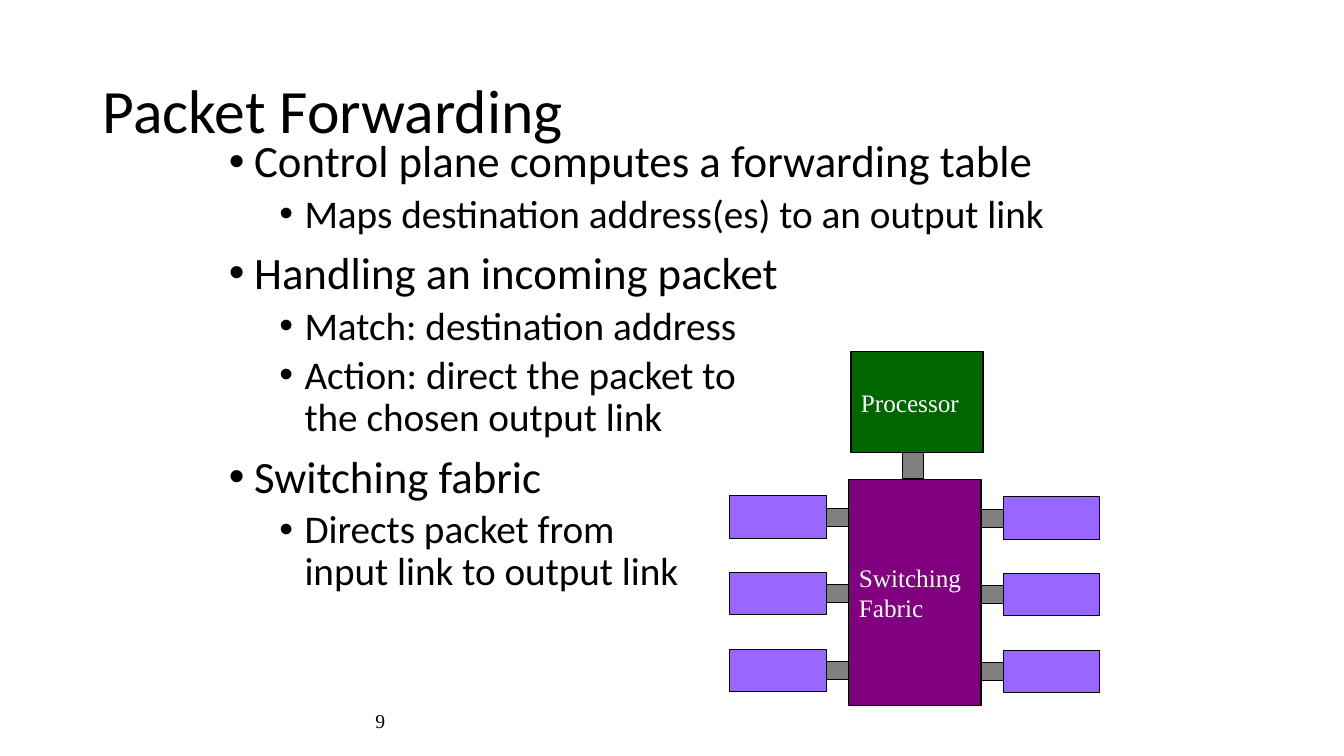
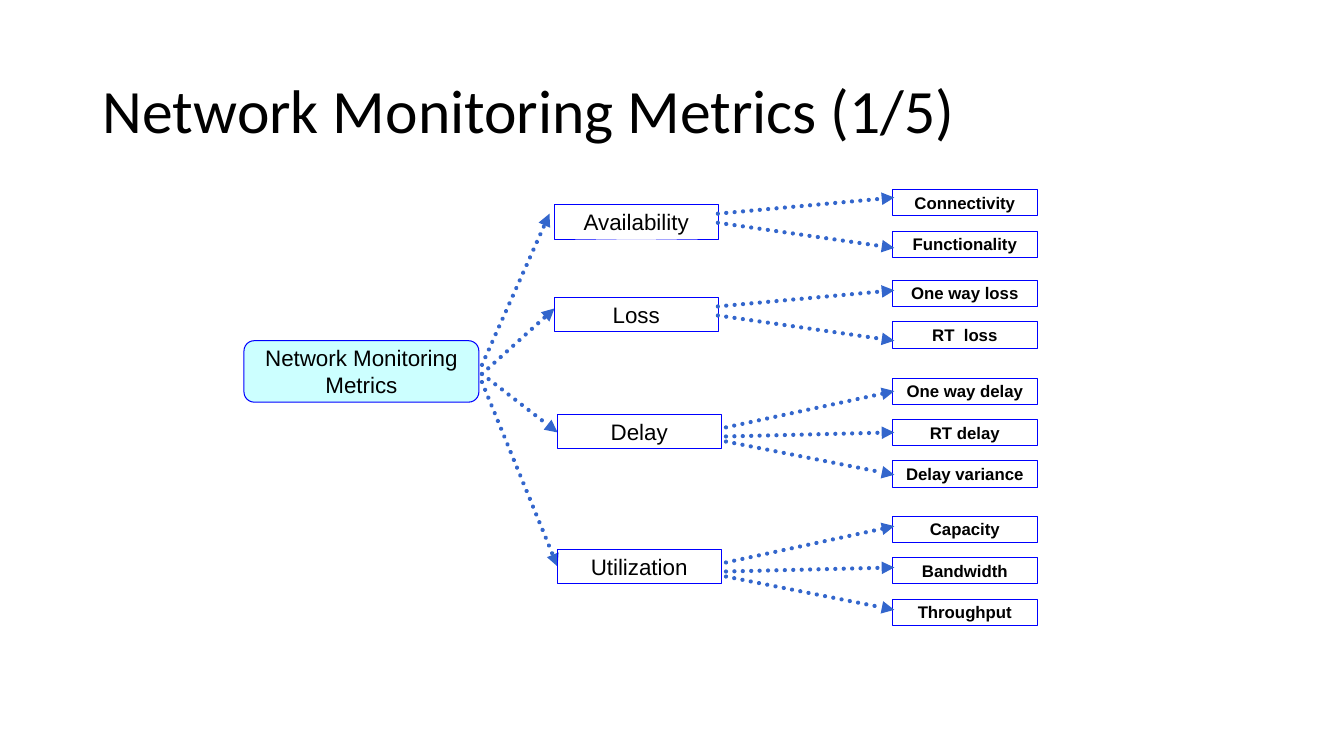
from dataclasses import dataclass

from lxml.etree import SubElement
from pptx import Presentation
from pptx.dml.color import RGBColor
from pptx.enum.dml import MSO_LINE
from pptx.enum.shapes import MSO_CONNECTOR, MSO_SHAPE
from pptx.enum.text import MSO_ANCHOR, MSO_AUTO_SIZE, PP_ALIGN
from pptx.oxml.ns import qn
from pptx.util import Emu, Pt

EMU_PER_PX = 9144  # 100 px to the inch


@dataclass(frozen=True)
class Theme:
    black: str = "000000"
    white: str = "FFFFFF"
    fabric: str = "800080"
    processor: str = "006600"
    plug: str = "808080"
    port: str = "9966FF"
    root: str = "CCFFFF"
    outline: str = "0000FF"
    arrow: str = "3366CC"
    sans: str = "Calibri"
    serif: str = "Times New Roman"
    label: str = "Arial"
    title_size: int = 44
    body_sizes: tuple = (32, 28)
    router_size: int = 18
    number_size: int = 14
    branch_size: int = 16
    leaf_size: int = 12
    hairline: float = 0.25
    thin: float = 0.75
    thick: float = 3


T = Theme()


@dataclass(frozen=True)
class Branch:
    name: str
    x: int
    y: int
    tip: int  # where the root arrow lands, below the branch's top
    tip_gap: int  # distance of that arrow's tip from the branch
    leaf_y: int
    leaves: tuple


BRANCHES = (
    Branch("Availability", 308, 15, 9, 5, 0, ("Connectivity", "Functionality")),
    Branch("Loss", 308, 107, 11, 0, 90, ("One way loss", "RT  loss")),
    Branch("Delay", 311, 223, 18, 0, 187,
           ("One way delay", "RT delay", "Delay variance")),
    Branch("Utilization", 311, 357, 17, 0, 324,
           ("Capacity", "Bandwidth", "Throughput")),
)
ROOT_STARTS = (174, 183, 183, 191)
# Start and end of each leaf arrow, below the branch's top, by number of leaves
FANS = {2: ((9, -7), (18, 43)), 3: ((13, -23), (22, 18), (27, 60))}
FAN_X = {2: 470, 3: 478}

FORWARDING = (
    (0, "Control plane computes a forwarding table"),
    (1, "Maps destination address(es) to an output link"),
    (0, "Handling an incoming packet"),
    (1, "Match: destination address"),
    (1, "Action: direct the packet to\vthe chosen output link"),
    (0, "Switching fabric"),
    (1, "Directs packet from\vinput link to output link"),
)


def px(*lengths):
    return [Emu(v * EMU_PER_PX) for v in lengths]


def move(sp, box):
    sp.left, sp.top, sp.width, sp.height = px(*box)


def style(p, font, size, color=T.black, align=PP_ALIGN.LEFT, bold=False):
    p.alignment = align
    p.font.name = font
    p.font.size = Pt(size)
    p.font.bold = bold
    p.font.color.rgb = RGBColor.from_string(color)


def add_box(s, box, fill=None, line=T.black, width=T.thin, kind=MSO_SHAPE.RECTANGLE):
    sp = s.shapes.add_shape(kind, *px(*box))
    sp.shadow.inherit = False
    if fill:
        sp.fill.solid()
        sp.fill.fore_color.rgb = RGBColor.from_string(fill)
    else:
        sp.fill.background()
    sp.line.color.rgb = RGBColor.from_string(line)
    sp.line.width = Pt(width)
    return sp


def write(sp, text, *font, **options):
    """Centre unwrapped text vertically, one paragraph to a line."""
    tf = sp.text_frame
    tf.word_wrap = False
    tf.vertical_anchor = MSO_ANCHOR.MIDDLE
    tf.text = text
    for p in tf.paragraphs:
        style(p, *font, **options)


def add_arrow(s, x1, y1, x2, y2):
    line = s.shapes.add_connector(MSO_CONNECTOR.STRAIGHT, *px(x1, y1, x2, y2))
    line.line.color.rgb = RGBColor.from_string(T.arrow)
    line.line.width = Pt(T.thick)
    line.line.dash_style = MSO_LINE.ROUND_DOT
    props = line._element.spPr
    ln = props.find(qn("a:ln"))
    ln.set("cap", "rnd")
    SubElement(ln, qn("a:tailEnd"), type="triangle")
    SubElement(props, qn("a:effectLst"))


def add_slide(prs, layout, title):
    s = prs.slides.add_slide(prs.slide_layouts[layout])
    sp = s.shapes.title
    move(sp, (92, 40, 1150, 145))
    tf = sp.text_frame
    tf.text = title
    tf.auto_size = MSO_AUTO_SIZE.NONE
    tf.vertical_anchor = MSO_ANCHOR.MIDDLE
    p = tf.paragraphs[0]
    p.line_spacing = 0.9
    style(p, T.sans, T.title_size)
    return s


def fill_body(s, box, items):
    sp = s.placeholders[1]
    move(sp, box)
    tf = sp.text_frame
    tf.auto_size = MSO_AUTO_SIZE.NONE
    for i, (level, text) in enumerate(items):
        p = tf.add_paragraph() if i else tf.paragraphs[0]
        p.text = text
        p.level = level
        p.line_spacing = 0.9
        p.space_before = Pt((10, 5)[level] if i else 0)
        indent, = px(25)
        props = p._p.get_or_add_pPr()
        props.set("marL", str(indent * (1 + 2 * level)))
        props.set("indent", str(-indent))
        SubElement(props, qn("a:buFont"), typeface="Arial")
        SubElement(props, qn("a:buChar"), char="•")
        style(p, T.sans, T.body_sizes[level])


def add_number(s, box, number):
    sp = s.shapes.add_textbox(*px(*box))
    write(sp, number, T.serif, T.number_size, align=PP_ALIGN.RIGHT)
    sp.text_frame.word_wrap = True


def draw_router(s, x, y):
    """Processor above a switching fabric with three ports on either side."""
    font = (T.serif, T.router_size, T.white)
    write(add_box(s, (x + 119, y + 127, 131, 224), T.fabric),
          "Switching\nFabric", *font)
    write(add_box(s, (x + 121, y, 131, 100), T.processor), "Processor", *font)
    add_box(s, (x + 172, y + 100, 21, 26), T.plug)
    for port_x, plug_x, top in ((1, 97, 143), (272, 250, 144)):
        for row in range(3):
            port_y = y + top + 76 * row
            add_box(s, (x + port_x, port_y, 96, 42), T.port)
            add_box(s, (x + plug_x, port_y + 12, 22, 18), T.plug)


def draw_metric_tree(s, x, y):
    """Root on the left, branches in the middle, leaves on the right."""
    root = add_box(s, (x, y + 150, 233, 61), T.root, T.outline,
                   kind=MSO_SHAPE.ROUNDED_RECTANGLE)
    write(root, "Network Monitoring\nMetrics", T.label, T.branch_size,
          align=PP_ALIGN.CENTER)
    for branch, start in zip(BRANCHES, ROOT_STARTS):
        add_arrow(s, x + 236, y + start,
                  x + branch.x - branch.tip_gap, y + branch.y + branch.tip)
        draw_branch(s, x, y, branch)


def draw_branch(s, x, y, branch):
    outline = dict(line=T.outline, width=T.hairline)
    top = y + branch.y
    write(add_box(s, (x + branch.x, top, 162, 34), **outline),
          branch.name, T.label, T.branch_size, align=PP_ALIGN.CENTER)
    count = len(branch.leaves)
    for i, (leaf, (start, end)) in enumerate(zip(branch.leaves, FANS[count])):
        sp = add_box(s, (x + 643, y + branch.leaf_y + 41 * i, 144, 26), **outline)
        write(sp, leaf, T.label, T.leaf_size, align=PP_ALIGN.CENTER, bold=True)
        add_arrow(s, x + FAN_X[count], top + start, x + 645, top + end)


def forwarding_slide(prs):
    s = add_slide(prs, 1, "Packet Forwarding")
    fill_body(s, (217, 133, 917, 600), FORWARDING)
    add_number(s, (92, 695, 300, 40), "9")
    draw_router(s, 723, 349)


def metrics_slide(prs):
    s = add_slide(prs, 5, "Network Monitoring Metrics (1/5)")
    draw_metric_tree(s, 242, 188)


def main():
    prs = Presentation()
    prs.slide_width, prs.slide_height = px(1333, 750)
    forwarding_slide(prs)
    metrics_slide(prs)
    prs.save("out.pptx")


if __name__ == "__main__":
    main()
